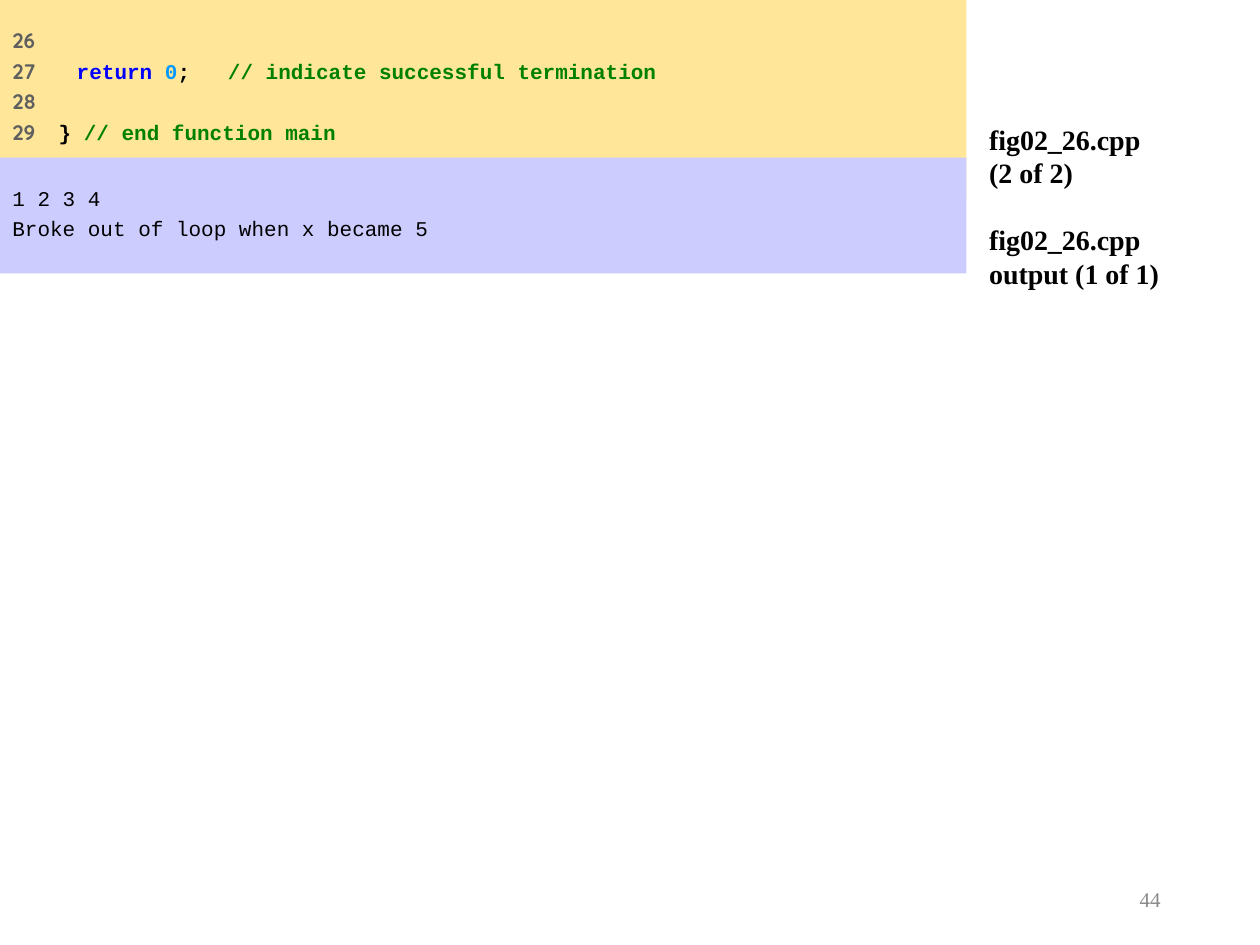
from pptx import Presentation
from pptx.dml.color import RGBColor
from pptx.enum.shapes import MSO_SHAPE
from pptx.enum.text import MSO_ANCHOR, MSO_AUTO_SIZE, PP_ALIGN
from pptx.util import Inches, Pt

COLORS = {
    "code_panel": "FFE699",
    "output_panel": "CCCCFF",
    "line_number": "5F5F5F",
    "keyword": "0000FF",
    "literal": "0099FF",
    "comment": "008000",
    "plain": "000000",
    "page_number": "898989",
}
MONOSPACE = "Courier New"
SERIF = "Times New Roman"
CODE_LINES = [
    [("26", "line_number")],
    [("27       ", "line_number"), ("return ", "keyword"), ("0", "literal"),
     (";   ", "plain"), ("// indicate successful termination", "comment")],
    [("28", "line_number")],
    [("29    ", "line_number"), ("} ", "plain"), ("// end function main", "comment")],
]
OUTPUT_LINES = [
    [("1 2 3 4", "plain")],
    [("Broke out of loop when x became 5", "plain")],
]
TITLE_LINES = ["fig02_26.cpp", "(2 of 2)", "fig02_26.cpp", "output (1 of 1)"]


def style_font(font, name, size, color, bold=False):
    """Set the typeface, size, colour and weight of a font."""
    font.name = name
    font.size = Pt(size)
    font.bold = bold
    font.color.rgb = RGBColor.from_string(COLORS[color])


def add_paragraphs(text_frame, count):
    """Return the first paragraph and enough new ones to make the count."""
    added = [text_frame.add_paragraph() for _ in range(count - 1)]
    return [text_frame.paragraphs[0], *added]


def add_panel(slide, top, height, fill, lines, bold):
    """Add a filled panel with lines of coloured code or output."""
    panel = slide.shapes.add_shape(
        MSO_SHAPE.RECTANGLE, 0, Inches(top), Inches(7.67), Inches(height))
    panel.shadow.inherit = False
    panel.fill.solid()
    panel.fill.fore_color.rgb = RGBColor.from_string(COLORS[fill])
    panel.line.fill.background()
    text_frame = panel.text_frame
    text_frame.word_wrap = True
    text_frame.vertical_anchor = MSO_ANCHOR.TOP
    text_frame.margin_top = Inches(0.22)
    for index, paragraph in enumerate(add_paragraphs(text_frame, len(lines))):
        paragraph.alignment = PP_ALIGN.LEFT
        paragraph.line_spacing = Pt(14.4)
        if index:
            paragraph.space_before = Pt(3)
        for text, color in lines[index]:
            run = paragraph.add_run()
            run.text = text
            name = "Quicksand" if color == "line_number" else MONOSPACE
            style_font(run.font, name, 12, color, bold)


def set_title(slide):
    """Place the file names in the title beside the panels."""
    title = slide.shapes.title
    title.left, title.top = Inches(7.75), Inches(0.92)
    title.width, title.height = Inches(2.25), Inches(5.25)
    text_frame = title.text_frame
    text_frame.auto_size = MSO_AUTO_SIZE.NONE
    text_frame.vertical_anchor = MSO_ANCHOR.TOP
    paragraphs = add_paragraphs(text_frame, len(TITLE_LINES))
    for paragraph, text in zip(paragraphs, TITLE_LINES):
        paragraph.text = text
        paragraph.alignment = PP_ALIGN.LEFT
        paragraph.line_spacing = Pt(19.2)
        paragraph.space_before = Pt(0)
        style_font(paragraph.runs[0].font, SERIF, 16, "plain", bold=True)
    paragraphs[2].space_before = Pt(19.2)


def add_page_number(slide, number):
    """Add the page number at the lower right."""
    box = slide.shapes.add_textbox(
        Inches(7.06), Inches(6.95), Inches(2.25), Inches(0.4))
    text_frame = box.text_frame
    text_frame.word_wrap = True
    text_frame.vertical_anchor = MSO_ANCHOR.MIDDLE
    text_frame.text = number
    paragraph = text_frame.paragraphs[0]
    paragraph.alignment = PP_ALIGN.RIGHT
    paragraph.line_spacing = 0.81
    style_font(paragraph.runs[0].font, SERIF, 12, "page_number")


def main():
    """Build the slide and save the presentation."""
    presentation = Presentation()
    presentation.slide_width = Inches(10)
    presentation.slide_height = Inches(7.5)
    slide = presentation.slides.add_slide(presentation.slide_layouts[5])
    add_page_number(slide, "44")
    set_title(slide)
    add_panel(slide, 0, 1.57, "code_panel", CODE_LINES, bold=True)
    add_panel(slide, 1.25, 0.92, "output_panel", OUTPUT_LINES, bold=False)
    presentation.save("out.pptx")


if __name__ == "__main__":
    main()
